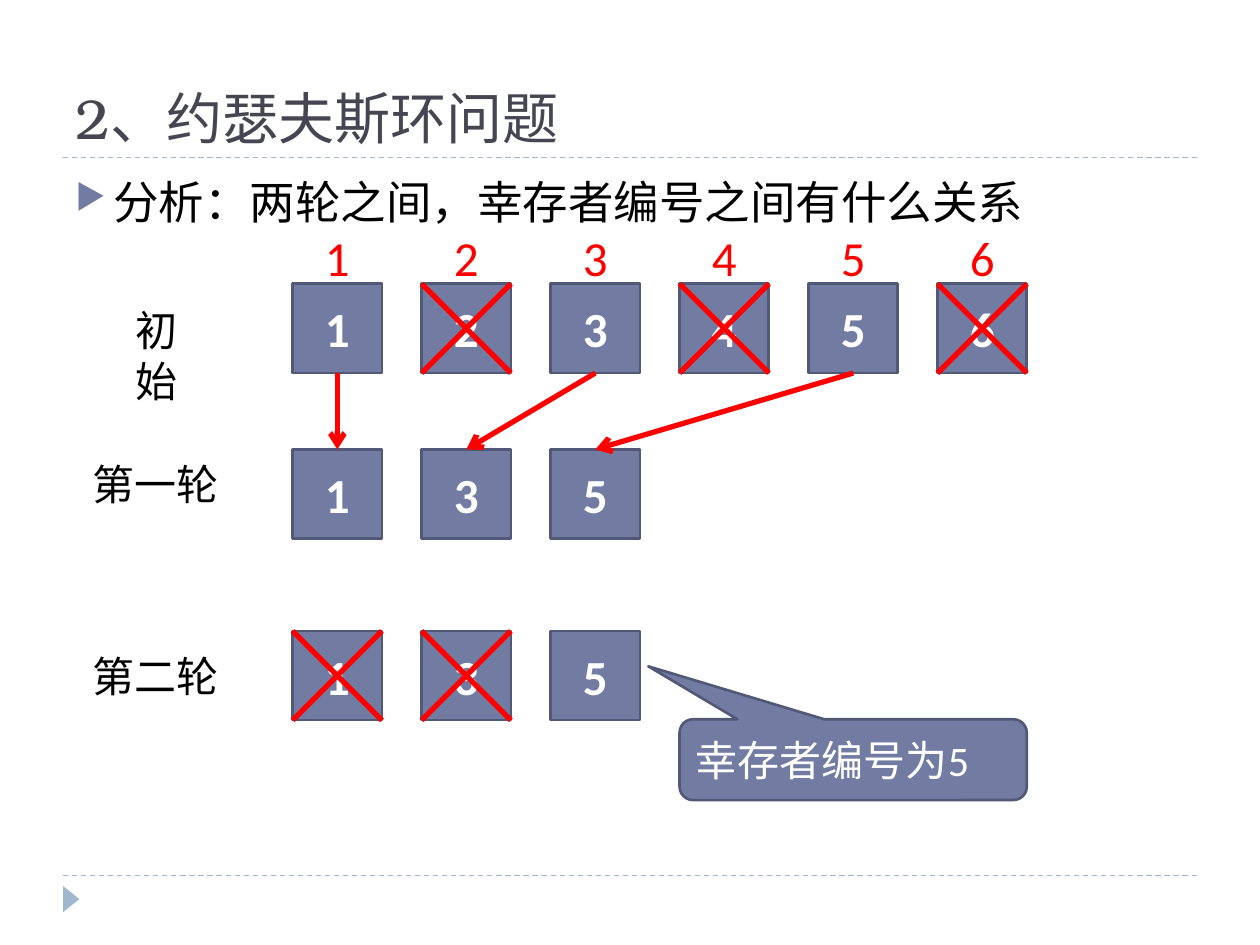
from dataclasses import dataclass

from lxml.etree import SubElement
from pptx import Presentation
from pptx.dml.color import RGBColor
from pptx.enum.dml import MSO_LINE
from pptx.enum.shapes import MSO_CONNECTOR as Line, MSO_SHAPE as Shape
from pptx.enum.text import MSO_ANCHOR as Anchor, MSO_AUTO_SIZE as AutoSize, PP_ALIGN as Align
from pptx.oxml.ns import qn
from pptx.util import Cm, Pt

SLATE = RGBColor(0x72, 0x7C, 0xA3)
SLATE_DARK = RGBColor(0x52, 0x59, 0x77)
PALE_BLUE = RGBColor(0x9F, 0xB8, 0xCD)
TITLE_GREY = RGBColor(0x46, 0x46, 0x53)
RED = RGBColor(0xFF, 0x00, 0x00)
BLACK = RGBColor(0x00, 0x00, 0x00)
WHITE = RGBColor(0xFF, 0xFF, 0xFF)
BODY_FONT, TITLE_FONT = "Calibri", "TeX Gyre Bonum"

BOX = 1.8
FIRST_LEFT, PITCH = 5.9, 2.6
LABEL_RIGHT = 4.67
BOTTOM_SITE, TOP_SITE = 2, 0


@dataclass(frozen=True)
class Round:
    label: str
    label_width: float
    label_top: float
    box_top: float
    survivors: tuple[int, ...]
    eliminated: tuple[int, ...] = ()


ROUNDS = (
    Round("初始", 2.18, 6.02, 5.72, (1, 2, 3, 4, 5, 6), (2, 4, 6)),
    Round("第一轮", 3.05, 9.12, 9.06, (1, 3, 5)),
    Round("第二轮", 3.05, 12.98, 12.72, (1, 3, 5), (1, 3)),
)


def write(frame, text: str, size: float, color: RGBColor, font: str = BODY_FONT,
          align=Align.LEFT, bold: bool = False):
    frame.text = text
    paragraph = frame.paragraphs[0]
    paragraph.alignment = align
    style = paragraph.runs[0].font
    style.name, style.size, style.bold = font, Pt(size), bold
    style.color.rgb = color
    return paragraph


def add_label(slide, left: float, top: float, width: float, height: float,
              text: str, size: float, color: RGBColor) -> None:
    label = slide.shapes.add_textbox(Cm(left), Cm(top), Cm(width), Cm(height))
    label.text_frame.word_wrap = False
    label.text_frame.auto_size = AutoSize.SHAPE_TO_FIT_TEXT
    write(label.text_frame, text, size, color)


def add_filled(slide, kind, left: float, top: float, width: float, height: float):
    """Add a slate shape with a dark outline and vertically centred text."""
    shape = slide.shapes.add_shape(kind, Cm(left), Cm(top), Cm(width), Cm(height))
    shape.shadow.inherit = False
    shape.fill.solid()
    shape.fill.fore_color.rgb = SLATE
    shape.line.color.rgb = SLATE_DARK
    shape.line.width = Pt(1.5)
    shape.text_frame.vertical_anchor = Anchor.MIDDLE
    return shape


def add_line(slide, x1: float, y1: float, x2: float, y2: float,
             color: RGBColor = RED, width: float = 3):
    line = slide.shapes.add_connector(Line.STRAIGHT, Cm(x1), Cm(y1), Cm(x2), Cm(y2))
    line.line.color.rgb = color
    line.line.width = Pt(width)
    SubElement(line._element.spPr, qn("a:effectLst"))
    return line


def add_arrow(slide, source, target) -> None:
    arrow = add_line(slide, 0, 0, 0, 0)
    arrow.begin_connect(source, BOTTOM_SITE)
    arrow.end_connect(target, TOP_SITE)
    SubElement(arrow.line._get_or_add_ln(), qn("a:tailEnd"), type="arrow")


def add_round(slide, game_round: Round) -> dict:
    """Draw one row of numbered boxes and return them by number."""
    add_label(slide, LABEL_RIGHT - game_round.label_width, game_round.label_top,
              game_round.label_width, 1.27, game_round.label, 24, BLACK)
    boxes = {}
    top, bottom = game_round.box_top, game_round.box_top + BOX
    for column, number in enumerate(game_round.survivors):
        left = FIRST_LEFT + column * PITCH
        box = add_filled(slide, Shape.RECTANGLE, left, top, BOX, BOX)
        write(box.text_frame, str(number), 28, WHITE, align=Align.CENTER, bold=True)
        boxes[number] = box
        if number in game_round.eliminated:
            add_line(slide, left, top, left + BOX, bottom)
            add_line(slide, left + BOX, top, left, bottom)
    return boxes


def add_footer_and_rules(slide) -> None:
    for y in (17.65, 3.18):
        rule = add_line(slide, 1.27, y, 24.13, y, PALE_BLUE, 0.75)
        rule.line.dash_style = MSO_LINE.DASH
    marker = slide.shapes.add_shape(Shape.ISOSCELES_TRIANGLE,
                                    Cm(1.17), Cm(17.96), Cm(0.53), Cm(0.33))
    marker.rotation = 90
    marker.shadow.inherit = False
    marker.fill.solid()
    marker.fill.fore_color.rgb = PALE_BLUE
    marker.line.fill.background()


def add_heading(slide) -> None:
    title = slide.shapes.title
    title.left, title.top, title.width, title.height = Cm(1.27), Cm(0.43), Cm(22.86), Cm(2.74)
    write(title.text_frame, "2、约瑟夫斯环问题", 32, TITLE_GREY, TITLE_FONT)
    title.text_frame.vertical_anchor = Anchor.BOTTOM
    title.text_frame.auto_size = AutoSize.NONE


def add_analysis(slide) -> None:
    analysis = slide.shapes.add_textbox(Cm(1.27), Cm(3.38), Cm(22.86), Cm(13.72))
    analysis.text_frame.word_wrap = True
    paragraph = write(analysis.text_frame, "分析：两轮之间，幸存者编号之间有什么关系", 26, BLACK)
    properties = paragraph._p.get_or_add_pPr()
    properties.set("marL", str(Cm(0.76)))
    properties.set("indent", str(Cm(-0.76)))
    bullet_color = SubElement(properties, qn("a:buClr"))
    SubElement(bullet_color, qn("a:srgbClr"), val=str(SLATE))
    SubElement(properties, qn("a:buSzPct"), val="76000")
    SubElement(properties, qn("a:buChar"), char="▶")


def main() -> None:
    deck = Presentation()
    deck.slide_width, deck.slide_height = Cm(25.4), Cm(19.05)
    slide = deck.slides.add_slide(deck.slide_layouts[5])

    add_footer_and_rules(slide)
    add_heading(slide)
    add_analysis(slide)

    start, first, _ = [add_round(slide, game_round) for game_round in ROUNDS]
    for column, position in enumerate(start):
        add_label(slide, FIRST_LEFT + 0.4 + column * PITCH, 4.47, 1, 1.45,
                  str(position), 28, RED)
    for number, target in first.items():
        add_arrow(slide, start[number], target)

    survivor = add_filled(slide, Shape.ROUNDED_RECTANGULAR_CALLOUT, 13.7, 14.5, 7, 1.63)
    for index, value in enumerate((-0.59, -1.155, 0.167)):
        survivor.adjustments[index] = value
    write(survivor.text_frame, "幸存者编号为5", 24, WHITE)

    deck.save("out.pptx")


if __name__ == "__main__":
    main()
